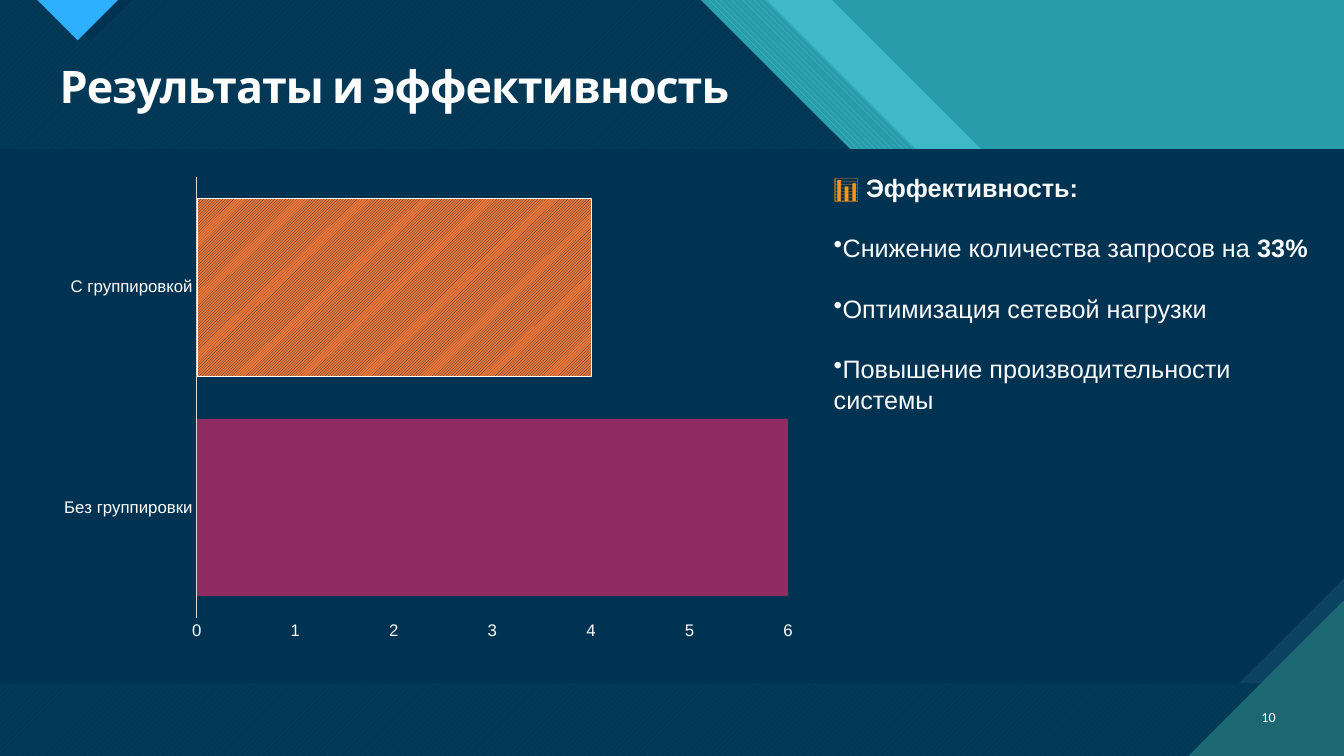
from dataclasses import dataclass

from lxml import etree
from pptx import Presentation
from pptx.chart.data import CategoryChartData
from pptx.dml.color import RGBColor as RGB
from pptx.enum.chart import XL_CHART_TYPE as CHART, XL_TICK_MARK as TICK
from pptx.enum.dml import MSO_PATTERN as PAT
from pptx.enum.shapes import MSO_SHAPE as SHAPE
from pptx.enum.text import MSO_ANCHOR as ANCHOR, MSO_AUTO_SIZE as AUTO, PP_ALIGN as ALIGN
from pptx.oxml.ns import qn
from pptx.util import Inches, Pt


@dataclass(frozen=True)
class Theme:
    navy: str = "003352"
    panel: str = "0C4360"
    teal: str = "299CAB"
    aqua: str = "47C3D3"
    pine: str = "1B6872"
    sky: str = "2FAFFF"
    plum: str = "8F2D63"
    orange: str = "F47735"
    amber: str = "FE9516"
    white: str = "FFFFFF"
    text: str = "F9FAFB"
    axis: str = "D9D9D9"
    title_font: str = "Cabin"
    body_font: str = "Arial"
    number_font: str = "Calibri"
    title_size: float = 32
    body_size: float = 18
    axis_size: float = 12
    number_size: float = 10
    body_line: float = 21.6


T = Theme()
W, H = 13.33, 7.5
PANEL_TOP, PANEL_H = 1.48, 5.3
MARGIN, CONTENT_TOP = 0.49, 1.66


def rgb(code):
    return RGB.from_string(code)


def paint(sp, color, alpha=None, pattern=None, back=None):
    """Fill a shape plainly or with a pattern; no outline, no shadow."""
    sp.shadow.inherit = False
    sp.line.fill.background()
    fill = sp.fill
    if pattern is not None:
        fill.patterned()
        fill.pattern = pattern
        fill.back_color.rgb = rgb(back)
    else:
        fill.solid()
    fill.fore_color.rgb = rgb(color)
    if alpha:
        clr = sp.element.spPr.find(qn("a:solidFill"))[0]
        etree.SubElement(clr, qn("a:alpha")).set("val", str(alpha * 1000))


def polygon(s, points, color, **look):
    first, *rest = [(Inches(x), Inches(y)) for x, y in points]
    fb = s.shapes.build_freeform(*first, scale=1.0)
    fb.add_line_segments(rest, close=True)
    paint(fb.convert_to_shape(), color, **look)


def band(s, x, color, **look):
    """Cover the slide left of a 45-degree step that starts at x on the top edge."""
    drop, run = 2.97, 1.26
    step = x + drop + run
    polygon(s, [(0, 0), (x, 0), (x + drop, drop), (step, drop),
                (W, drop + W - step), (W, H), (0, H)], color, **look)


def panel(s, snip, color, **look):
    sp = s.shapes.add_shape(SHAPE.SNIP_1_RECTANGLE, 0, Inches(PANEL_TOP), Inches(W), Inches(PANEL_H))
    sp.adjustments[0] = snip
    sp.element.spPr.find(qn("a:xfrm")).set("flipV", "1")
    paint(sp, color, **look)


def add_backdrop(s):
    s.background.fill.solid()
    s.background.fill.fore_color.rgb = rgb(T.aqua)
    paint(s.shapes.add_shape(SHAPE.RECTANGLE, 0, 0, Inches(W), Inches(H)), T.teal)
    # Diagonal bands, right to left
    band(s, 8.25, T.aqua, alpha=74)
    band(s, 7.6, T.aqua, pattern=PAT.WIDE_DOWNWARD_DIAGONAL, back=T.teal)
    band(s, 6.95, T.aqua, pattern=PAT.WIDE_UPWARD_DIAGONAL, back=T.pine)
    band(s, 6.95, T.navy, alpha=90)
    # Marker at the top edge and its shade
    polygon(s, [(0.48, 0), (0.9, 0.41), (1.31, 0)], T.navy)
    polygon(s, [(0.37, 0), (0.77, 0.4), (1.17, 0)], T.sky, pattern=PAT.DARK_HORIZONTAL, back=T.pine)
    # Content panel and bottom corner
    panel(s, 0, T.panel, pattern=PAT.DARK_VERTICAL, back=T.pine)
    panel(s, 0.197, T.navy)
    corner = 1.54
    polygon(s, [(W - corner, H), (W, H), (W, H - corner)], T.pine,
            pattern=PAT.DARK_HORIZONTAL, back=T.aqua)


def add_run(p, text, size, font, color, bold=False):
    r = p.add_run()
    r.text = text
    f = r.font
    f.size, f.name, f.bold = Pt(size), font, bold
    f.color.rgb = rgb(color)
    return r


def add_title(s, text, box):
    title = s.shapes.title
    s.shapes.element.append(title.element)  # bring in front of the backdrop
    title.left, title.top, title.width, title.height = map(Inches, box)
    tf = title.text_frame
    tf.auto_size, tf.vertical_anchor, tf.word_wrap = AUTO.NONE, ANCHOR.TOP, True
    p = tf.paragraphs[0]
    p.alignment, p.line_spacing = ALIGN.LEFT, 0.9
    r = add_run(p, text, T.title_size, T.title_font, T.white, True)
    r.font._element.set("spc", "-70")


def style_axis(axis):
    axis.major_tick_mark = axis.minor_tick_mark = TICK.NONE
    axis.has_major_gridlines = False
    f = axis.tick_labels.font
    f.size, f.name = Pt(T.axis_size), T.body_font
    f.color.rgb = rgb(T.white)


def add_request_chart(s, box):
    data = CategoryChartData()
    data.categories = ["Без группировки", "С группировкой"]
    data.add_series("Series 1", [6, 4])
    chart = s.shapes.add_chart(CHART.BAR_CLUSTERED, *map(Inches, box), data).chart
    chart.has_legend = chart.has_title = False
    chart.font.size, chart.font.name = Pt(10), T.body_font
    # Axes
    cat, val = chart.category_axis, chart.value_axis
    style_axis(cat)
    style_axis(val)
    cat.format.line.color.rgb = rgb(T.axis)
    cat.format.line.width = Pt(0.75)
    val.format.line.fill.background()
    val.minimum_scale, val.maximum_scale, val.major_unit = 0, 6, 1
    # Bars
    plot = chart.plots[0]
    plot.gap_width, plot.vary_by_categories = 24, False
    bars = plot.series[0]
    bars.format.fill.solid()
    bars.format.fill.fore_color.rgb = rgb(T.plum)
    grouped = bars.points[1].format
    grouped.fill.patterned()
    grouped.fill.pattern = PAT.LIGHT_UPWARD_DIAGONAL
    grouped.fill.fore_color.rgb = rgb(T.navy)
    grouped.fill.back_color.rgb = rgb(T.orange)
    grouped.line.color.rgb = rgb(T.text)
    grouped.line.width = Pt(0.25)
    # Plot area as shares of the chart box
    area = chart.element.find(".//" + qn("c:plotArea"))
    for old in area.findall(qn("c:layout")):
        area.remove(old)
    layout = etree.Element(qn("c:layout"))
    area.insert(0, layout)
    manual = etree.SubElement(layout, qn("c:manualLayout"))
    for tag, value in (("layoutTarget", "inner"), ("xMode", "edge"), ("yMode", "edge"),
                       ("x", 0.194), ("y", 0.02), ("w", 0.779), ("h", 0.915)):
        etree.SubElement(manual, qn("c:" + tag)).set("val", str(value))


def add_effects(s, box):
    tf = s.shapes.add_textbox(*map(Inches, box)).text_frame
    tf.word_wrap = True
    p = tf.paragraphs[0]
    p.line_spacing = Pt(T.body_line)
    add_run(p, "📊", T.body_size, T.body_font, T.amber, True)
    add_run(p, " Эффективность:", T.body_size, T.body_font, T.text, True)
    for text, strong in (("Снижение количества запросов на ", "33%"),
                         ("Оптимизация сетевой нагрузки", ""),
                         ("Повышение производительности системы", "")):
        p = tf.add_paragraph()
        p.line_spacing = p.space_before = Pt(T.body_line)
        add_run(p, text, T.body_size, T.body_font, T.text)
        if strong:
            add_run(p, strong, T.body_size, T.body_font, T.text, True)
        etree.SubElement(p._p.get_or_add_pPr(), qn("a:buChar")).set("char", "•")


def add_number(s, text, box):
    tf = s.shapes.add_textbox(*map(Inches, box)).text_frame
    tf.word_wrap, tf.vertical_anchor = True, ANCHOR.MIDDLE
    p = tf.paragraphs[0]
    p.alignment = ALIGN.RIGHT
    add_run(p, text, T.number_size, T.number_font, T.white)


def main():
    prs = Presentation()
    prs.slide_width, prs.slide_height = Inches(W), Inches(H)
    s = prs.slides.add_slide(prs.slide_layouts[5])
    add_backdrop(s)
    add_title(s, "Результаты и эффективность", (MARGIN, 0.59, 12.26, 1.07))
    add_request_chart(s, (MARGIN, CONTENT_TOP, 7.53, 4.78))
    add_number(s, "10", (12.31, 6.91, 0.44, 0.4))
    add_effects(s, (8.17, CONTENT_TOP, 5.01, 2.52))
    prs.save("out.pptx")


if __name__ == "__main__":
    main()
